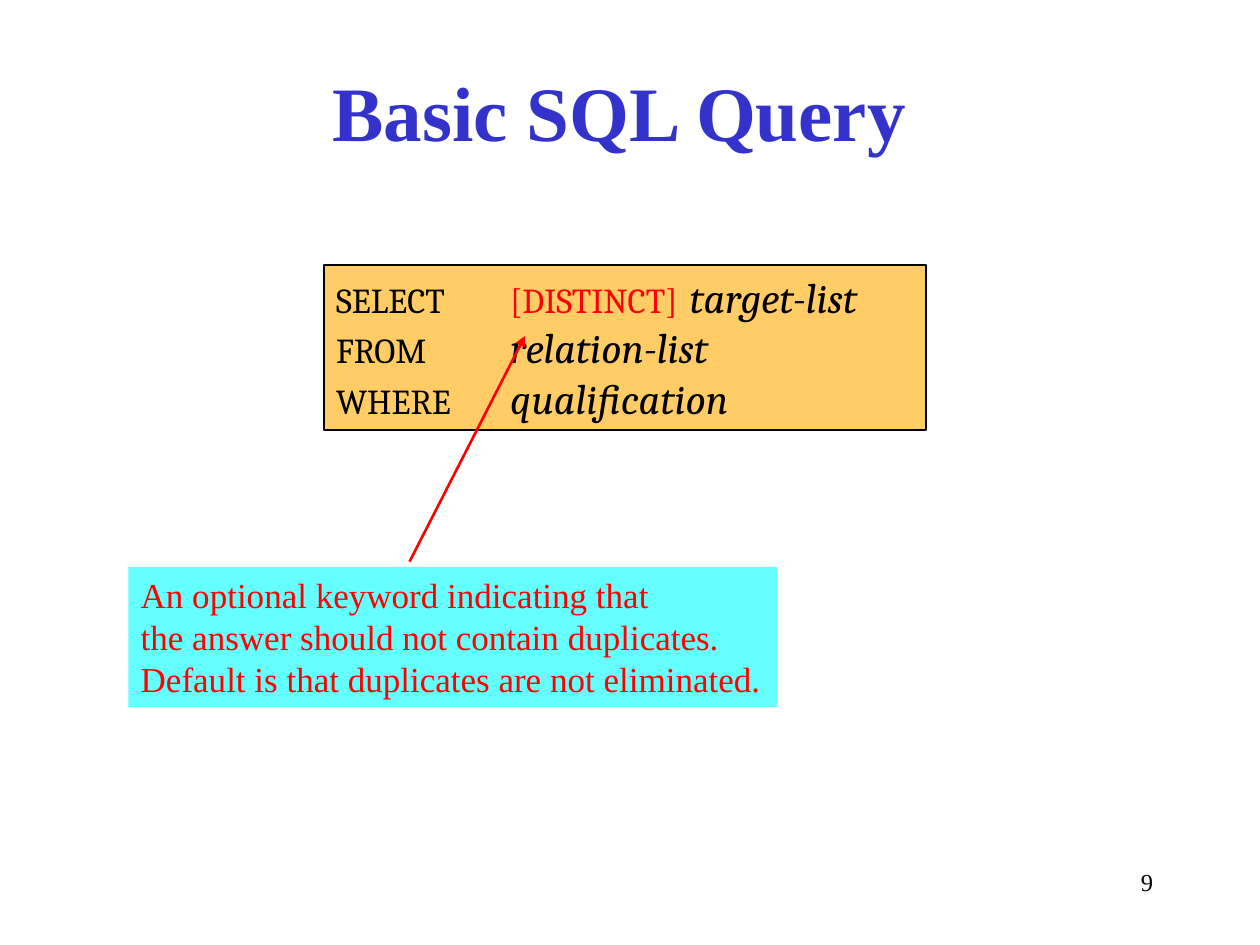
from lxml import etree
from pptx import Presentation
from pptx.dml.color import RGBColor
from pptx.enum.shapes import MSO_CONNECTOR as Link, MSO_SHAPE as Shape
from pptx.enum.text import MSO_ANCHOR as Anchor, PP_ALIGN as Align
from pptx.oxml.ns import qn
from pptx.util import Pt

COLORS = {"title": "3333CC", "ink": "000000", "red": "FF0000",
          "query": "FFCC66", "note": "66FFFF"}
SERIF = "Times New Roman"


def color(name):
    return RGBColor.from_string(COLORS[name])


def style(font, size, hue, face=SERIF, bold=False):
    font.name, font.size, font.bold = face, Pt(size), bold
    font.color.rgb = color(hue)


def add_label(slide, box, text, size, hue, align, anchor=Anchor.TOP, bold=False):
    frame = slide.shapes.add_textbox(*map(Pt, box)).text_frame
    frame.word_wrap = True
    frame.vertical_anchor = anchor
    para = frame.paragraphs[0]
    para.text, para.alignment = text, align
    style(para.font, size, hue, bold=bold)


def add_panel(slide, box, fill, line=None):
    """Add a filled rectangle and return its text frame."""
    panel = slide.shapes.add_shape(Shape.RECTANGLE, *map(Pt, box))
    panel.shadow.inherit = False
    panel.fill.solid()
    panel.fill.fore_color.rgb = color(fill)
    if line:
        panel.line.color.rgb = color(line)
        panel.line.width = Pt(1)
    else:
        panel.line.fill.background()
    frame = panel.text_frame
    frame.vertical_anchor = Anchor.TOP
    return frame


def add_tabs(para, stops):
    tabs = etree.SubElement(para._p.get_or_add_pPr(), qn("a:tabLst"))
    for stop in stops:
        etree.SubElement(tabs, qn("a:tab"), pos=str(Pt(stop)), algn="l")


def add_query(slide, box):
    frame = add_panel(slide, box, "query", "ink")
    clauses = [("SELECT", "[DISTINCT]", "target-list"),
               ("FROM", "", "relation-list"),
               ("WHERE", "", "qualification")]
    for i, (word, option, value) in enumerate(clauses):
        para = frame.add_paragraph() if i else frame.paragraphs[0]
        para.alignment = Align.LEFT
        add_tabs(para, (99.5, 202))
        style(para.font, 24, "ink", "Cambria")
        parts = [(word + "\t", 20, "ink", False)]
        if option:
            parts.append((option + "\t", 20, "red", False))
        parts.append((value, 24, "ink", True))
        for text, size, hue, slant in parts:
            run = para.add_run()
            run.text = text
            style(run.font, size, hue, "Cambria")
            run.font.italic = slant


def add_note(slide, box):
    frame = add_panel(slide, box, "note")
    frame.word_wrap = False
    frame.text = ("An optional keyword indicating that\n"
                  "the answer should not contain duplicates.\n"
                  "Default is that duplicates are not eliminated.")
    for para in frame.paragraphs:
        para.alignment = Align.LEFT
        style(para.font, 20, "red")


def add_arrow(slide, start, end):
    arrow = slide.shapes.add_connector(Link.STRAIGHT, *map(Pt, start + end))
    arrow.line.color.rgb = color("red")
    arrow.line.width = Pt(1.5)
    etree.SubElement(arrow.line._get_or_add_ln(), qn("a:tailEnd"), type="triangle")
    etree.SubElement(arrow._element.spPr, qn("a:effectLst"))


def main():
    deck = Presentation()
    deck.slide_width, deck.slide_height = Pt(720), Pt(540)
    slide = deck.slides.add_slide(deck.slide_layouts[6])
    add_label(slide, (48, 18, 612, 90), "Basic SQL Query", 44, "title",
              Align.CENTER, Anchor.MIDDLE, bold=True)
    add_label(slide, (516, 492, 150, 36), "9", 14, "ink", Align.RIGHT)
    add_query(slide, (185, 151.5, 344, 94.3))
    add_note(slide, (73.3, 324, 370.8, 80))
    add_arrow(slide, (234, 321), (300, 192))
    deck.save("out.pptx")


if __name__ == "__main__":
    main()
